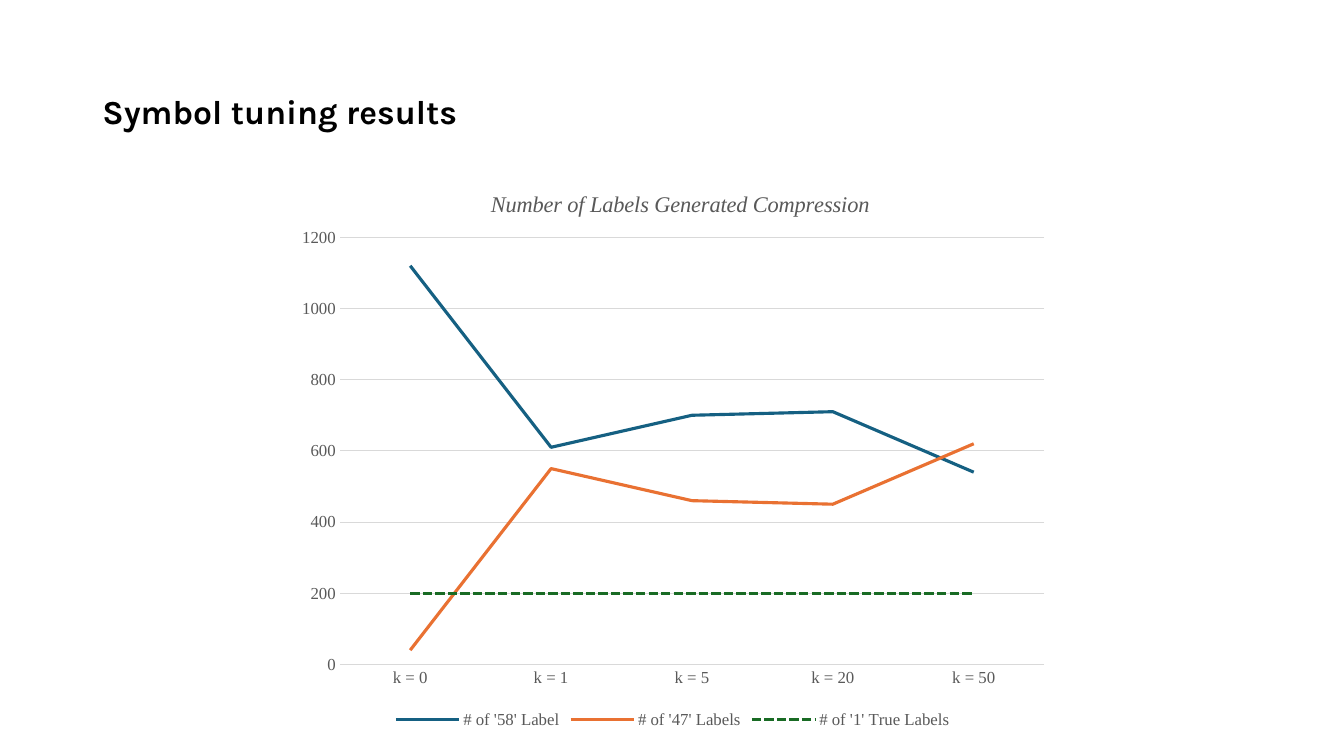
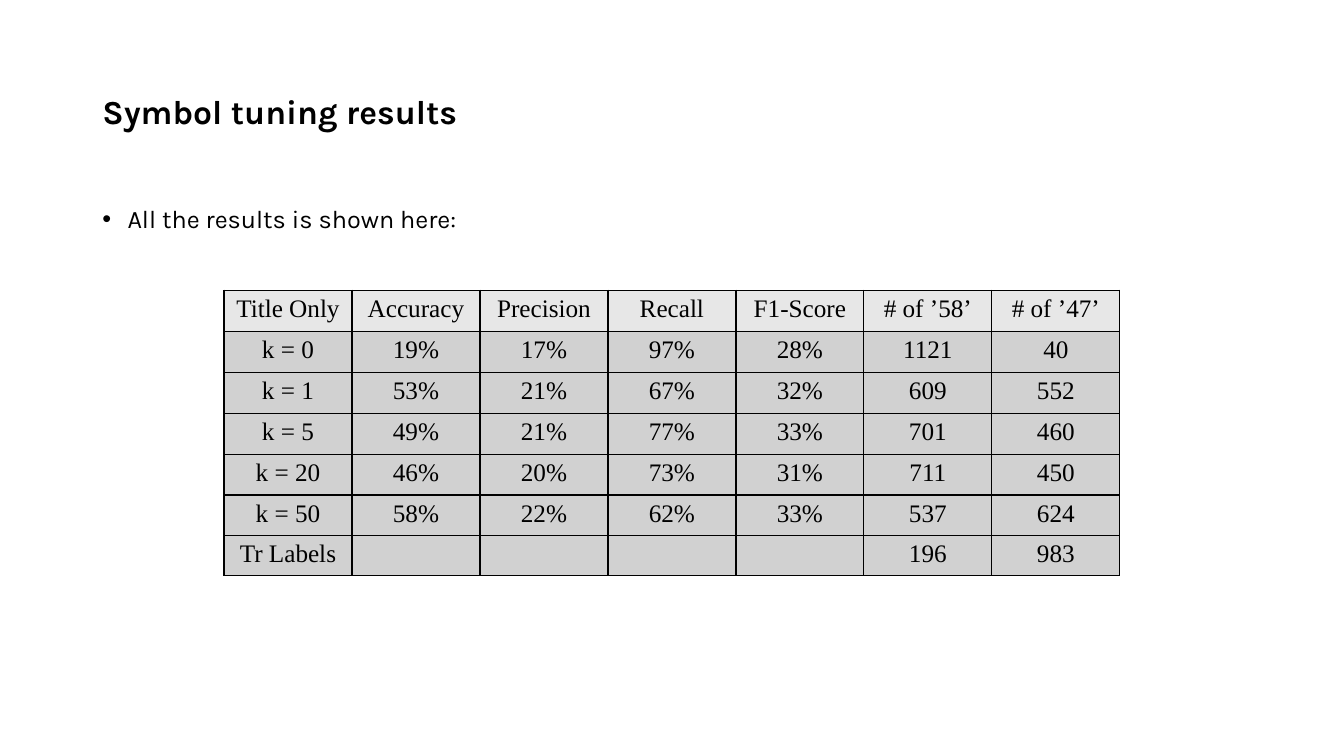
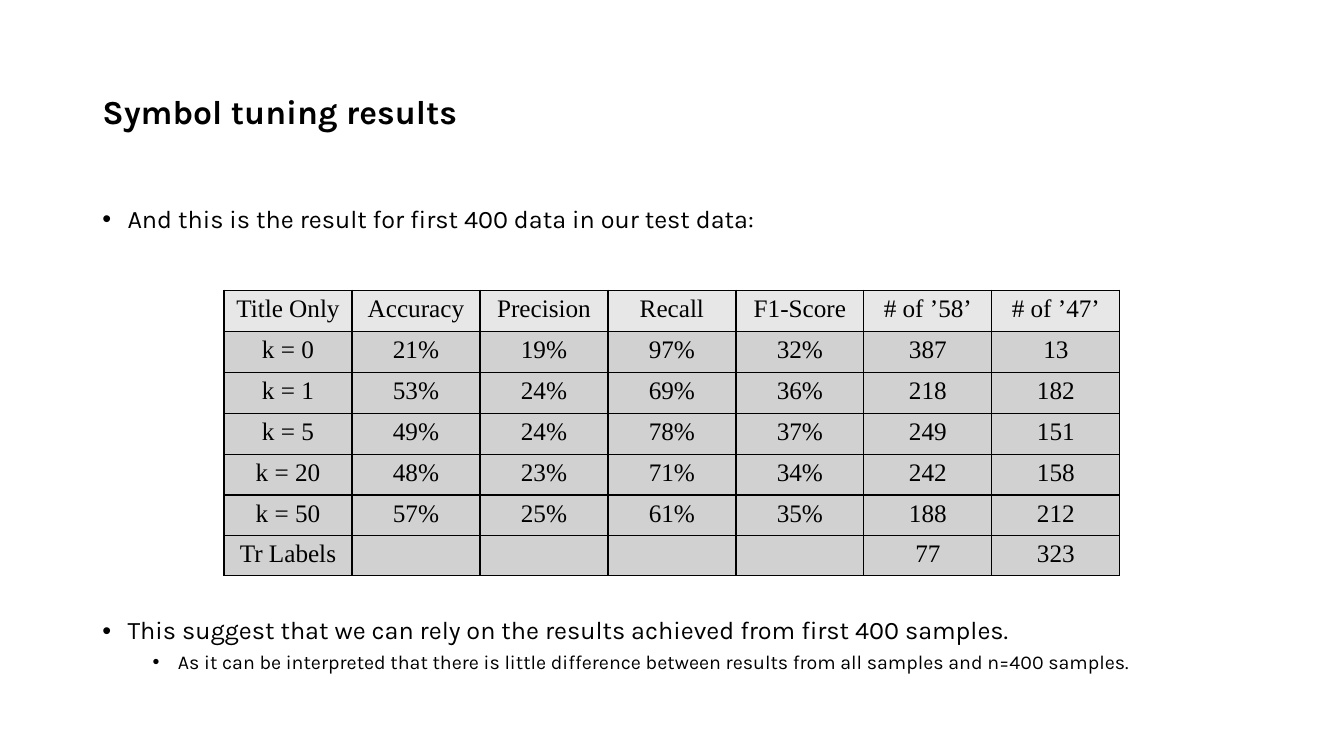
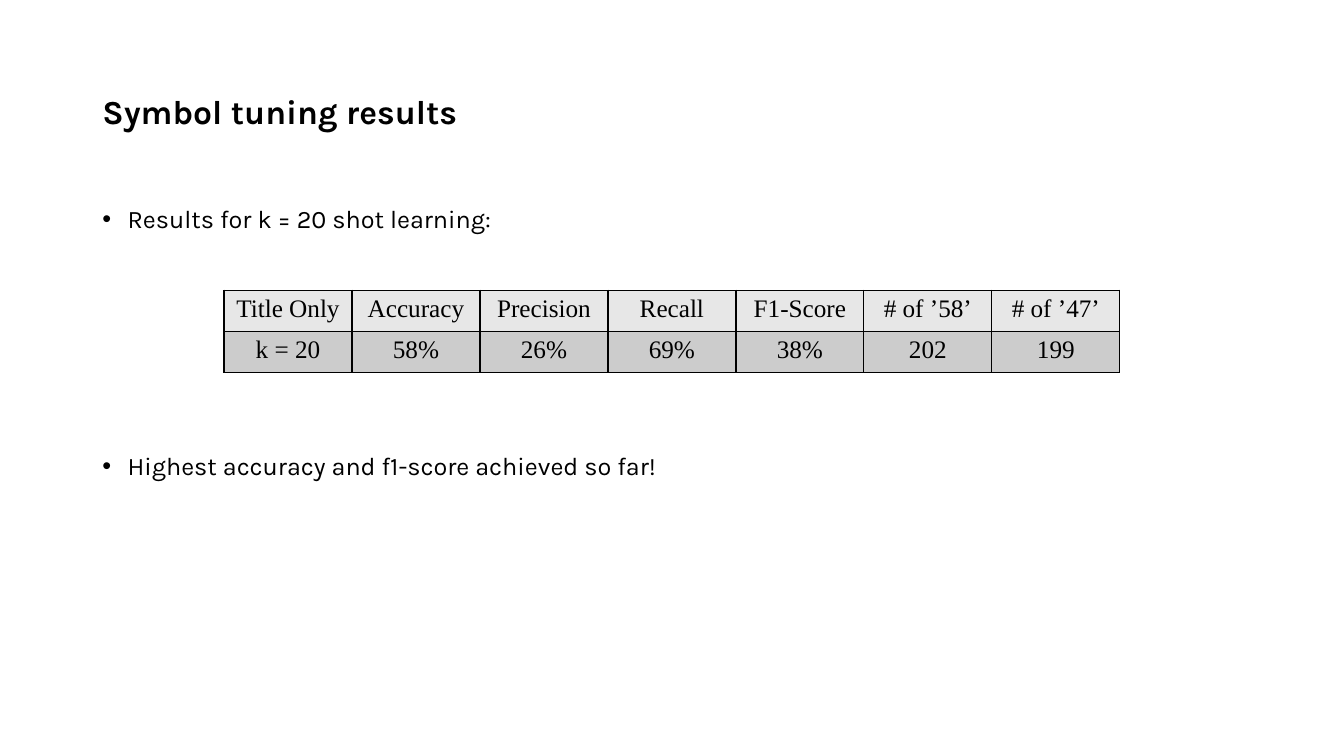
from lxml import etree
from pptx import Presentation
from pptx.chart.data import CategoryChartData
from pptx.dml.color import RGBColor
from pptx.enum.chart import XL_CHART_TYPE, XL_LEGEND_POSITION, XL_TICK_MARK
from pptx.enum.dml import MSO_LINE
from pptx.enum.text import MSO_ANCHOR, PP_ALIGN
from pptx.oxml.ns import qn
from pptx.util import Inches, Pt

LINE_CHART = XL_CHART_TYPE.LINE
BOTTOM = XL_LEGEND_POSITION.BOTTOM
NO_TICK = XL_TICK_MARK.NONE
SOLID, DASHED = MSO_LINE.SOLID, MSO_LINE.SQUARE_DOT
TOP, MIDDLE = MSO_ANCHOR.TOP, MSO_ANCHOR.MIDDLE
CENTER = PP_ALIGN.CENTER

BLACK = RGBColor(0x00, 0x00, 0x00)
GRAY = RGBColor(0x59, 0x59, 0x59)
RULE = RGBColor(0xD9, 0xD9, 0xD9)
HEADER = RGBColor(0xE7, 0xE7, 0xE7)
BAND = RGBColor(0xD1, 0xD1, 0xD1)
DARK_BAND = RGBColor(0xCC, 0xCC, 0xCC)
BLUE = RGBColor(0x15, 0x60, 0x82)
ORANGE = RGBColor(0xE9, 0x71, 0x32)
GREEN = RGBColor(0x19, 0x6B, 0x24)

SANS, SERIF = "Karla", "Times New Roman"
COLUMNS, ROWS = 160, 90
MARGIN, TEXT_WIDTH = 11, 138
TABLE_WIDTH, TABLE_TOP = 106.67, 34.56
ROW_HEIGHT, LOW_ROW_HEIGHT, FULL_ROWS = 4.88, 4.52, 6
BULLETS = {0: (0.25, 18, 10), 1: (0.75, 14, 5)}

TITLE = "Symbol tuning results"
SHOTS = ["k = 0", "k = 1", "k = 5", "k = 20", "k = 50"]
HEADINGS = ["Title Only", "Accuracy", "Precision", "Recall", "F1-Score", "# of ’58’", "# of ’47’"]
ALL_RESULTS = [
    ["19%", "17%", "97%", "28%", "1121", "40"],
    ["53%", "21%", "67%", "32%", "609", "552"],
    ["49%", "21%", "77%", "33%", "701", "460"],
    ["46%", "20%", "73%", "31%", "711", "450"],
    ["58%", "22%", "62%", "33%", "537", "624"],
    ["", "", "", "", "196", "983"],
]
FIRST_RESULTS = [
    ["21%", "19%", "97%", "32%", "387", "13"],
    ["53%", "24%", "69%", "36%", "218", "182"],
    ["49%", "24%", "78%", "37%", "249", "151"],
    ["48%", "23%", "71%", "34%", "242", "158"],
    ["57%", "25%", "61%", "35%", "188", "212"],
    ["", "", "", "", "77", "323"],
]
LABEL_SERIES = [
    ("# of '58' Label", [1120, 610, 700, 710, 540], BLUE, SOLID),
    ("# of '47' Labels", [40, 550, 460, 450, 620], ORANGE, SOLID),
    ("# of '1' True Labels", [200] * 5, GREEN, DASHED),
]


def set_font(font, name, size, color, bold=False, italic=False):
    font.name, font.size = name, Pt(size)
    font.bold, font.italic = bold, italic
    font.color.rgb = color


def add_bullet(paragraph, indent):
    properties = paragraph._p.get_or_add_pPr()
    properties.set("marL", str(Inches(indent)))
    properties.set("indent", str(Inches(-0.25)))
    face = etree.Element(qn("a:buFont"), typeface="Arial")
    mark = etree.Element(qn("a:buChar"), char="•")
    spacing = properties.find(qn("a:spcBef"))
    spacing.addnext(face)
    face.addnext(mark)


def add_borders(cell):
    properties = cell._tc.get_or_add_tcPr()
    for side in ("lnL", "lnR", "lnT", "lnB"):
        line = etree.SubElement(properties, qn("a:" + side), w=str(Pt(1)))
        fill = etree.SubElement(line, qn("a:solidFill"))
        etree.SubElement(fill, qn("a:srgbClr"), val=str(BLACK))


def place_part(layout, inner=False, **shares):
    manual = etree.SubElement(layout, qn("c:manualLayout"))
    if inner:
        etree.SubElement(manual, qn("c:layoutTarget"), val="inner")
    for axis in ("x", "y"):
        etree.SubElement(manual, qn(f"c:{axis}Mode"), val="edge")
    for key, share in shares.items():
        etree.SubElement(manual, qn("c:" + key), val=str(share))


class ResultsDeck:
    def __init__(self):
        self.deck = Presentation()
        self.deck.slide_width = Inches(13.33)
        self.deck.slide_height = Inches(7.5)
        self.page = None

    def across(self, columns):
        return round(self.deck.slide_width * columns / COLUMNS)

    def down(self, rows):
        return round(self.deck.slide_height * rows / ROWS)

    def frame(self, left, top, width, height):
        return self.across(left), self.down(top), self.across(width), self.down(height)

    def text_frame(self, top, height, anchor):
        box = self.page.shapes.add_textbox(*self.frame(MARGIN, top, TEXT_WIDTH, height))
        box.text_frame.word_wrap = True
        box.text_frame.vertical_anchor = anchor
        return box.text_frame

    def start(self, title):
        self.page = self.deck.slides.add_slide(self.deck.slide_layouts[6])
        paragraph = self.text_frame(4.8, 17.4, MIDDLE).paragraphs[0]
        paragraph.text = title
        paragraph.line_spacing = 0.9
        set_font(paragraph.font, SANS, 24, BLACK, bold=True)

    def bullets(self, top, *lines):
        frame = self.text_frame(top, 4.5 * len(lines), TOP)
        for number, (level, text) in enumerate(lines):
            indent, size, space = BULLETS[level]
            paragraph = frame.add_paragraph() if number else frame.paragraphs[0]
            paragraph.text = text
            paragraph.level = level
            paragraph.line_spacing = 0.9
            paragraph.space_before = Pt(space)
            add_bullet(paragraph, indent)
            set_font(paragraph.font, SANS, size, BLACK)

    def table(self, names, results, band=BAND):
        rows = [HEADINGS] + [[name] + values for name, values in zip(names, results)]
        heights = [ROW_HEIGHT if i < FULL_ROWS - 1 else LOW_ROW_HEIGHT for i in range(len(rows))]
        place = self.frame((COLUMNS - TABLE_WIDTH) / 2, TABLE_TOP, TABLE_WIDTH, sum(heights))
        table = self.page.shapes.add_table(len(rows), len(HEADINGS), *place).table
        for column in table.columns:
            column.width = self.across(TABLE_WIDTH / len(HEADINGS))
        for i, values in enumerate(rows):
            table.rows[i].height = self.down(heights[i])
            for j, text in enumerate(values):
                cell = table.cell(i, j)
                add_borders(cell)
                cell.fill.solid()
                cell.fill.fore_color.rgb = band if i else HEADER
                paragraph = cell.text_frame.paragraphs[0]
                paragraph.text = text
                paragraph.alignment = CENTER
                set_font(paragraph.font, SERIF, 18, BLACK)

    def line_chart(self, title, categories, series):
        data = CategoryChartData()
        data.categories = categories
        for name, values, _, _ in series:
            data.add_series(name, values)
        place = self.frame(34, 19.44, 92.16, 67.8)
        chart = self.page.shapes.add_chart(LINE_CHART, *place, data).chart
        set_font(chart.font, SERIF, 12, GRAY)

        chart.has_title = True
        heading = chart.chart_title.text_frame.paragraphs[0]
        heading.text = title
        set_font(heading.runs[0].font, SERIF, 16, GRAY, italic=True)
        place_part(chart.chart_title._element.get_or_add_layout()
                   if hasattr(chart.chart_title._element, "get_or_add_layout")
                   else chart.chart_title._element.find(qn("c:layout")), x=0.26, y=0.04)

        plot_area = chart._chartSpace.chart.plotArea
        layout = plot_area.find(qn("c:layout"))
        if layout is None:
            layout = etree.Element(qn("c:layout"))
            plot_area.insert(0, layout)
        place_part(layout, inner=True, x=0.07, y=0.13, w=0.91, h=0.75)

        chart.has_legend = True
        chart.legend.position = BOTTOM
        chart.legend.include_in_layout = False
        set_font(chart.legend.font, SERIF, 12, GRAY)

        value_axis, category_axis = chart.value_axis, chart.category_axis
        for axis in (value_axis, category_axis):
            axis.major_tick_mark = axis.minor_tick_mark = NO_TICK
            set_font(axis.tick_labels.font, SERIF, 12, GRAY)
        value_axis.minimum_scale, value_axis.maximum_scale = 0, 1200
        value_axis.major_unit = 200
        value_axis.format.line.fill.background()
        for rule in (value_axis.major_gridlines.format.line, category_axis.format.line):
            rule.color.rgb = RULE
            rule.width = Pt(0.75)

        chart.plots[0].vary_by_categories = False
        for line, (_, _, color, dash) in zip(chart.plots[0].series, series):
            line.smooth = False
            line.format.line.color.rgb = color
            line.format.line.width = Pt(2.25)
            line.format.line.dash_style = dash

    def save(self):
        self.deck.save("out.pptx")


def main():
    show = ResultsDeck()

    show.start(TITLE)
    show.line_chart("Number of Labels Generated Compression", SHOTS, LABEL_SERIES)

    show.start(TITLE)
    show.bullets(24, (0, "All the results is shown here:"))
    show.table(SHOTS + ["Tr Labels"], ALL_RESULTS)

    show.start(TITLE)
    show.bullets(24, (0, "And this is the result for first 400 data in our test data:"))
    show.table(SHOTS + ["Tr Labels"], FIRST_RESULTS)
    show.bullets(
        73,
        (0, "This suggest that we can rely on the results achieved from first 400 samples."),
        (1, "As it can be interpreted that there is little difference between results "
            "from all samples and n=400 samples."),
    )

    show.start(TITLE)
    show.bullets(24, (0, "Results for k = 20 shot learning:"))
    show.table(["k = 20"], [["58%", "26%", "69%", "38%", "202", "199"]], DARK_BAND)
    show.bullets(53.4, (0, "Highest accuracy and f1-score achieved so far!"))

    show.save()


if __name__ == "__main__":
    main()
